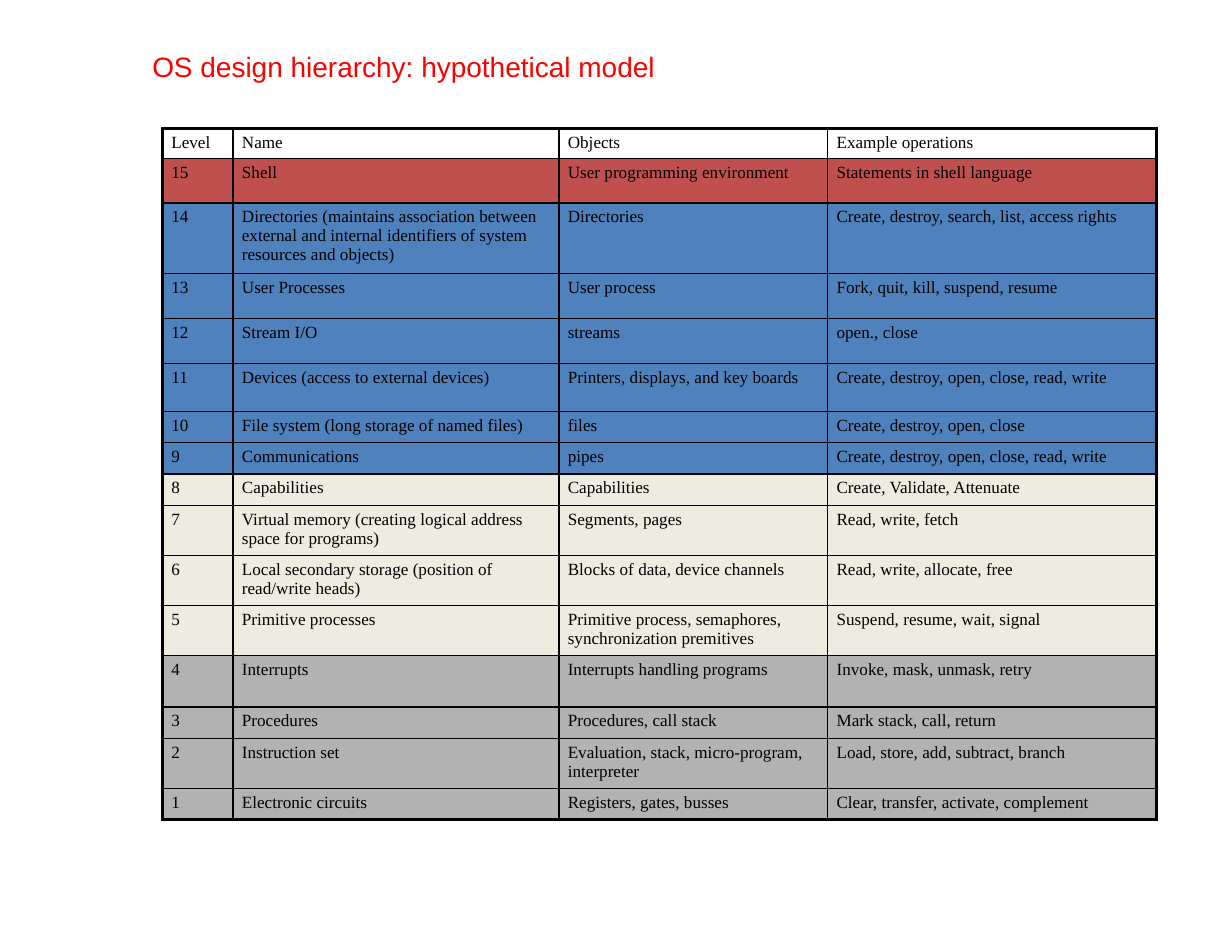
from lxml import etree
from pptx import Presentation, util as u
from pptx.dml import color
from pptx.enum import text
from pptx.oxml import ns

COLOURS = {"title": "FF0000", "ink": "000000", "shell": "C0504D",
           "system": "4F81BD", "resources": "EEECE1", "hardware": "B2B2B2"}

COLUMN_WIDTHS = [63, 291, 240, 294]
HEADINGS = ["Level", "Name", "Objects", "Example operations"]
TOP_LEVEL = 15
LAYERS = [
    ("shell", [
        (40, "Shell", "User programming environment", "Statements in shell language"),
    ]),
    ("system", [
        (60, "Directories (maintains association between external and internal "
             "identifiers of system resources and objects)",
         "Directories", "Create, destroy, search, list, access rights"),
        (40, "User Processes", "User process", "Fork, quit, kill, suspend, resume"),
        (40, "Stream I/O", "streams", "open., close"),
        (43, "Devices (access to external devices)", "Printers, displays, and key boards",
         "Create, destroy, open, close, read, write"),
        (28, "File system (long storage of named files)", "files",
         "Create, destroy, open, close"),
        (28, "Communications", "pipes", "Create, destroy, open, close, read, write"),
    ]),
    ("resources", [
        (28, "Capabilities", "Capabilities", "Create, Validate, Attenuate"),
        (43, "Virtual memory (creating logical address space for programs)",
         "Segments, pages", "Read, write, fetch"),
        (43, "Local secondary storage (position of read/write heads)",
         "Blocks of data, device channels", "Read, write, allocate, free"),
        (43, "Primitive processes",
         "Primitive process, semaphores, synchronization premitives",
         "Suspend, resume, wait, signal"),
    ]),
    ("hardware", [
        (46, "Interrupts", "Interrupts handling programs", "Invoke, mask, unmask, retry"),
        (28, "Procedures", "Procedures, call stack", "Mark stack, call, return"),
        (43, "Instruction set", "Evaluation, stack, micro-program, interpreter",
         "Load, store, add, subtract, branch"),
        (28, "Electronic circuits", "Registers, gates, busses",
         "Clear, transfer, activate, complement"),
    ]),
]


class HierarchySlide:
    """Draws styled elements on one slide, measured on a 1100 by 850 grid."""

    GRID_COLUMNS, GRID_ROWS = 1100, 850
    THIN, THICK = 1, 2.25

    def __init__(self, deck):
        self.slide = deck.slides.add_slide(deck.slide_layouts[6])
        self.column = deck.slide_width / self.GRID_COLUMNS
        self.row = deck.slide_height / self.GRID_ROWS

    def across(self, columns):
        return u.Emu(round(columns * self.column))

    def down(self, rows):
        return u.Emu(round(rows * self.row))

    def place(self, left, top, width, height):
        return self.across(left), self.down(top), self.across(width), self.down(height)

    def set_words(self, frame, words, font, size, colour):
        frame.text = words
        frame.word_wrap = True
        for run in frame.paragraphs[0].runs:
            run.font.name = font
            run.font.size = u.Pt(size)
            run.font.color.rgb = color.RGBColor.from_string(COLOURS[colour])

    def title(self, words, *box):
        frame = self.slide.shapes.add_textbox(*self.place(*box)).text_frame
        frame.margin_left = frame.margin_right = frame.margin_top = frame.margin_bottom = 0
        frame.vertical_anchor = text.MSO_ANCHOR.TOP
        self.set_words(frame, words, "Arial", 18, "title")

    def borders(self, cell, **widths):
        properties = cell._tc.get_or_add_tcPr()
        for place, side in enumerate("LRTB"):
            line = etree.Element(ns.qn(f"a:ln{side}"), w=str(u.Pt(widths[side])))
            fill = etree.SubElement(line, ns.qn("a:solidFill"))
            etree.SubElement(fill, ns.qn("a:srgbClr"), val=COLOURS["ink"])
            properties.insert(place, line)

    def cell(self, cell, words, layer):
        cell.margin_left = cell.margin_right = self.across(8)
        cell.margin_top = cell.margin_bottom = self.down(4)
        self.set_words(cell.text_frame, words, "Times New Roman", 11, "ink")
        if layer:
            cell.fill.solid()
            cell.fill.fore_color.rgb = color.RGBColor.from_string(COLOURS[layer])
        else:
            cell.fill.background()

    def table(self, left, top, widths, rows):
        heights = [height for _, height, _ in rows]
        box = self.place(left, top, sum(widths), sum(heights))
        table = self.slide.shapes.add_table(len(rows), len(widths), *box).table
        table.first_row = table.horz_banding = False
        for column, width in zip(table.columns, widths):
            column.width = self.across(width)
        last_row, last_column = len(rows) - 1, len(widths) - 1
        for r, (layer, height, entries) in enumerate(rows):
            table.rows[r].height = self.down(height)
            for c, words in enumerate(entries):
                cell = table.cell(r, c)
                self.cell(cell, words, layer)
                outer = {"L": c == 0, "R": c == last_column, "T": r == 0, "B": r == last_row}
                self.borders(cell, **{side: self.THICK if edge else self.THIN
                                      for side, edge in outer.items()})


def main():
    deck = Presentation()
    deck.slide_width, deck.slide_height = u.Inches(11), u.Inches(8.5)
    hierarchy = HierarchySlide(deck)
    hierarchy.title("OS design hierarchy: hypothetical model", 136, 44, 787, 30)

    levels = [(layer, *level) for layer, members in LAYERS for level in members]
    rows = [(None, 26, HEADINGS)]
    for depth, (layer, height, *entries) in enumerate(levels):
        rows.append((layer, height, [str(TOP_LEVEL - depth), *entries]))
    hierarchy.table(145, 115, COLUMN_WIDTHS, rows)
    deck.save("out.pptx")


if __name__ == "__main__":
    main()
